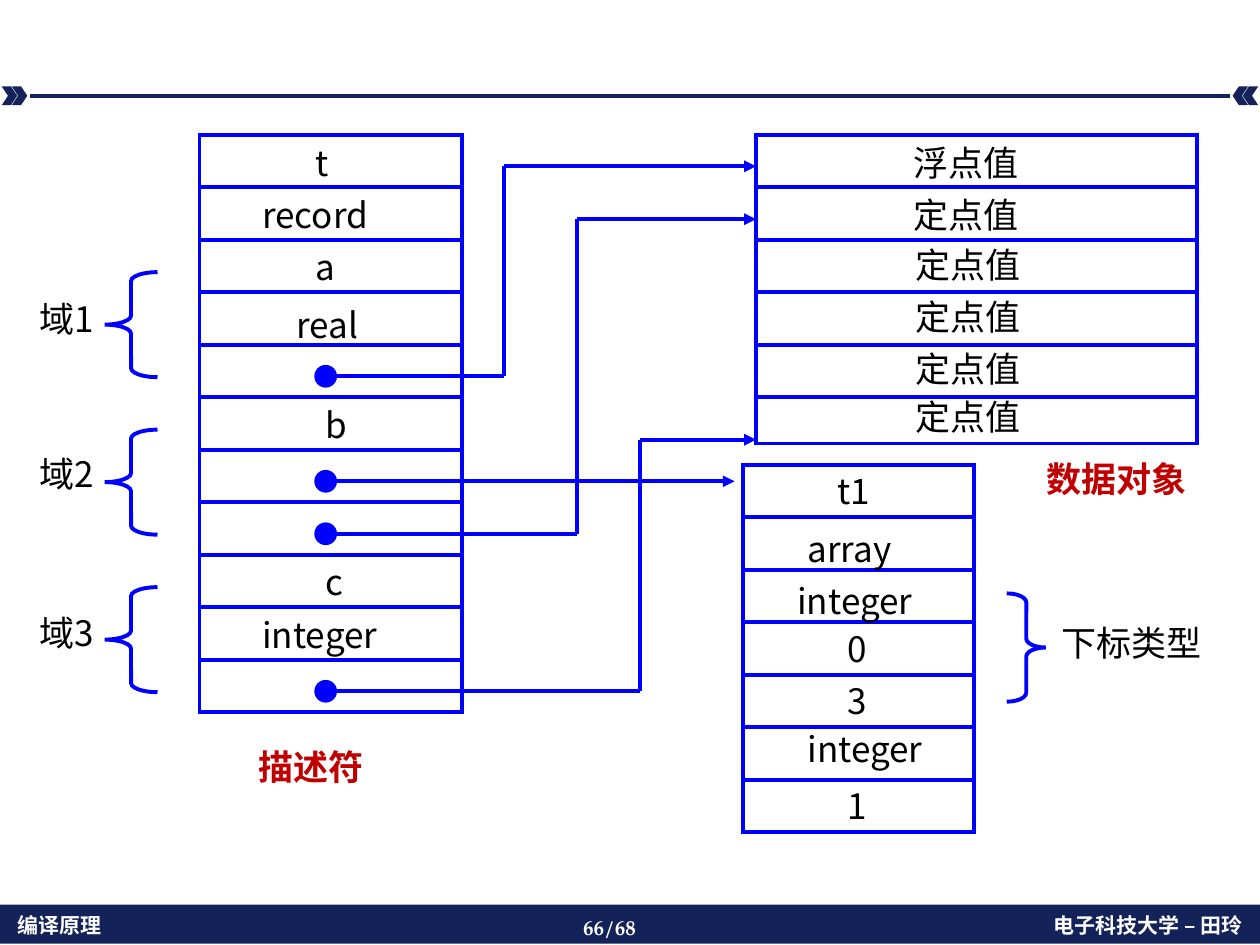
import pptx
import pptx.dml.color
import pptx.enum.shapes
import pptx.enum.text
import pptx.oxml
import pptx.oxml.ns
import pptx.util

Inches = pptx.util.Inches
Pt = pptx.util.Pt
SHAPE = pptx.enum.shapes.MSO_SHAPE
ALIGN = pptx.enum.text.PP_ALIGN
ANCHOR = pptx.enum.text.MSO_ANCHOR
COLORS = {"navy": "132259", "blue": "0000FF", "black": "000000", "red": "C00000", "white": "FFFFFF"}
SANS = "Noto Sans CJK SC"
SERIF = "TeX Gyre Pagella"
ROW = 5 / 12
TOP = 1.07
POINTER_DROP = 0.25


def rgb(name):
    """Return the named colour."""
    return pptx.dml.color.RGBColor.from_string(COLORS[name])


def element(tag, attributes=""):
    """Make an empty drawing element."""
    return pptx.oxml.parse_xml(f'<a:{tag} {pptx.oxml.ns.nsdecls("a")} {attributes}/>')


def add_form(slide, preset, box, fill=None, line=None, weight=2.25):
    """Draw a preset shape with the given fill and outline."""
    form = slide.shapes.add_shape(preset, *map(Inches, box))
    form.shadow.inherit = False
    if fill:
        form.fill.solid()
        form.fill.fore_color.rgb = rgb(fill)
    else:
        form.fill.background()
    if line:
        form.line.color.rgb = rgb(line)
        form.line.width = Pt(weight)
        form.line._get_or_add_ln().append(element("miter", 'lim="800000"'))
    else:
        form.line.fill.background()
    return form


def add_line(slide, start, end, color="blue", weight=2.25, arrow=False):
    """Draw a straight line, with an arrowhead at its end if asked."""
    line = slide.shapes.add_connector(
        pptx.enum.shapes.MSO_CONNECTOR.STRAIGHT, *map(Inches, (*start, *end)))
    line.line.color.rgb = rgb(color)
    line.line.width = Pt(weight)
    if arrow:
        line.line._get_or_add_ln().append(element("tailEnd", 'type="triangle"'))
    line._element.spPr.append(element("effectLst"))


def add_text(slide, words, box, size=20, color="black", bold=False, font=SANS,
             align=ALIGN.LEFT, anchor=ANCHOR.TOP, wrap=False):
    """Place one line of text in a box."""
    frame = slide.shapes.add_textbox(*map(Inches, box)).text_frame
    frame.word_wrap = wrap
    if not wrap:
        frame.auto_size = pptx.enum.text.MSO_AUTO_SIZE.SHAPE_TO_FIT_TEXT
    frame.vertical_anchor = anchor
    paragraph = frame.paragraphs[0]
    paragraph.alignment = align
    run = paragraph.add_run()
    run.text = words
    run.font.size = Pt(size)
    run.font.bold = bold
    run.font.color.rgb = rgb(color)
    run.font.name = font
    run.font._element.append(element("ea", f'typeface="{font}"'))


def add_caption(slide, words, box, **style):
    """Place a label centred in its box."""
    add_text(slide, words, box, align=ALIGN.CENTER, anchor=ANCHOR.MIDDLE, wrap=True, **style)


def add_header(slide, box):
    """Draw the header rule with a pair of chevrons at each end."""
    left, top, width, height = box
    chevron = 0.08
    for step in range(2):
        near = left + step * chevron
        far = left + width - (step + 1) * chevron
        for x, flipped in ((near, False), (far, True)):
            mark = add_form(slide, SHAPE.CHEVRON, (x, top, chevron, height), "navy", "navy", 2)
            if flipped:
                mark._element.spPr.get_or_add_xfrm().set("flipH", "1")
    middle = top + height / 2
    add_line(slide, (left + 0.2, middle), (left + width - 0.2, middle), "navy", 2)


def add_footer(slide, box):
    """Draw the footer band with course, page and author."""
    left, top, width, height = box
    add_form(slide, SHAPE.RECTANGLE, box, "navy")
    style = {"size": 12, "color": "white", "bold": True, "wrap": True}
    add_text(slide, "编译原理", (left + 0.04, top + 0.01, 2.94, 0.3), **style)
    add_text(slide, "电子科技大学 – 田玲", (left + width - 3.03, top + 0.01, 2.99, 0.3),
             align=ALIGN.RIGHT, **style)
    add_text(slide, "66/68", (left + width / 2 - 0.47, top + 0.03, 0.94, 0.3),
             font=SERIF, **style)


def add_stack(slide, box, rows, cells):
    """Draw a memory block; cells hold row, text, indent, width and drop."""
    left, top, width, height = box
    add_form(slide, SHAPE.RECTANGLE, box, line="blue")
    for row in range(1, rows):
        y = top + row * ROW
        add_line(slide, (left, y), (left + width, y))
    for row, words, indent, text_width, drop in cells:
        add_text(slide, words, (left + indent, top + row * ROW + drop, text_width, 0.43),
                 wrap=True)


def add_pointers(slide, box, pointers):
    """Draw a dot in each pointer row and the arrow leading from it."""
    left, top, width, height = box
    x = left + width / 2 - 0.04
    radius = 0.085
    for row, bend, target in pointers:
        y = top + row * ROW + POINTER_DROP
        add_form(slide, SHAPE.OVAL, (x - radius, y - radius, 2 * radius, 2 * radius),
                 "blue", "blue", 0.75)
        corners = [(bend, y), (bend, target[1])] if bend else []
        route = [(x, y), *corners, target]
        for index, (start, end) in enumerate(zip(route, route[1:])):
            add_line(slide, start, end, arrow=index == len(route) - 2)


def add_brace(slide, preset, box, curve, words, label_box):
    """Draw a curly brace and its label."""
    brace = add_form(slide, preset, box, line="blue")
    brace.adjustments[0] = curve
    brace.adjustments[1] = 0.5
    add_caption(slide, words, label_box)


def main():
    """Build the slide and save it."""
    deck = pptx.Presentation()
    deck.slide_width, deck.slide_height = Inches(10), Inches(7.5)
    slide = deck.slides.add_slide(deck.slide_layouts[6])
    add_footer(slide, (0, 7.18, 10, 0.31))
    add_header(slide, (0.04, 0.7, 9.92, 0.12))

    descriptor = (3.8 * ROW, TOP, 5 * ROW, 11 * ROW)
    add_stack(slide, descriptor, 11, [
        (0, "t", 0.82, 0.5, 0), (1, "record", 0.4, 1.3, 0), (2, "a", 0.82, 0.5, 0),
        (3, "real", 0.67, 0.9, 0.04), (5, "b", 0.9, 0.5, 0), (8, "c", 0.9, 0.5, 0),
        (9, "integer", 0.4, 1.3, 0)])
    add_stack(slide, (6, TOP, 3.5, 2.45), 6, [
        (0, "浮点值", 1.15, 1.3, 0), (1, "定点值", 1.15, 1.3, 0),
        (2, "定点值", 1.17, 1.3, -0.02), (3, "定点值", 1.17, 1.3, -0.02),
        (4, "定点值", 1.17, 1.3, -0.03), (5, "定点值", 1.17, 1.3, -0.06)])
    add_stack(slide, (5.9, 3.69, 1.83, 7 * ROW), 7, [
        (0, "t1", 0.65, 0.6, -0.01), (1, "array", 0.41, 1.1, 0.03),
        (2, "integer", 0.33, 1.3, 0.03), (3, "0", 0.73, 0.5, -0.01),
        (4, "3", 0.73, 0.5, -0.01), (5, "integer", 0.41, 1.3, -0.05),
        (6, "1", 0.73, 0.5, -0.01)])
    add_pointers(slide, descriptor, [
        (4, 4, (6, 1.32)), (6, None, (5.83, 3.82)),
        (7, 4.58, (6, 1.74)), (10, 5.08, (6, 3.49))])

    for index, label_top in enumerate((2.37, 3.6, 4.86)):
        add_brace(slide, SHAPE.LEFT_BRACE, (0.83, 2.16 + index * 3 * ROW, 0.42, 2 * ROW),
                  0.17, f"域{index + 1}", (0.03, label_top, 1, 0.32))
    add_brace(slide, SHAPE.RIGHT_BRACE, (7.99, 4.71, 0.31, 0.86),
              0.23, "下标类型", (8.23, 4.94, 1.5, 0.32))
    add_caption(slide, "描述符", (1.72, 5.89, 1.5, 0.39), color="red", bold=True)
    add_caption(slide, "数据对象", (8.11, 3.6, 1.5, 0.39), color="red", bold=True)
    deck.save("out.pptx")


if __name__ == "__main__":
    main()
